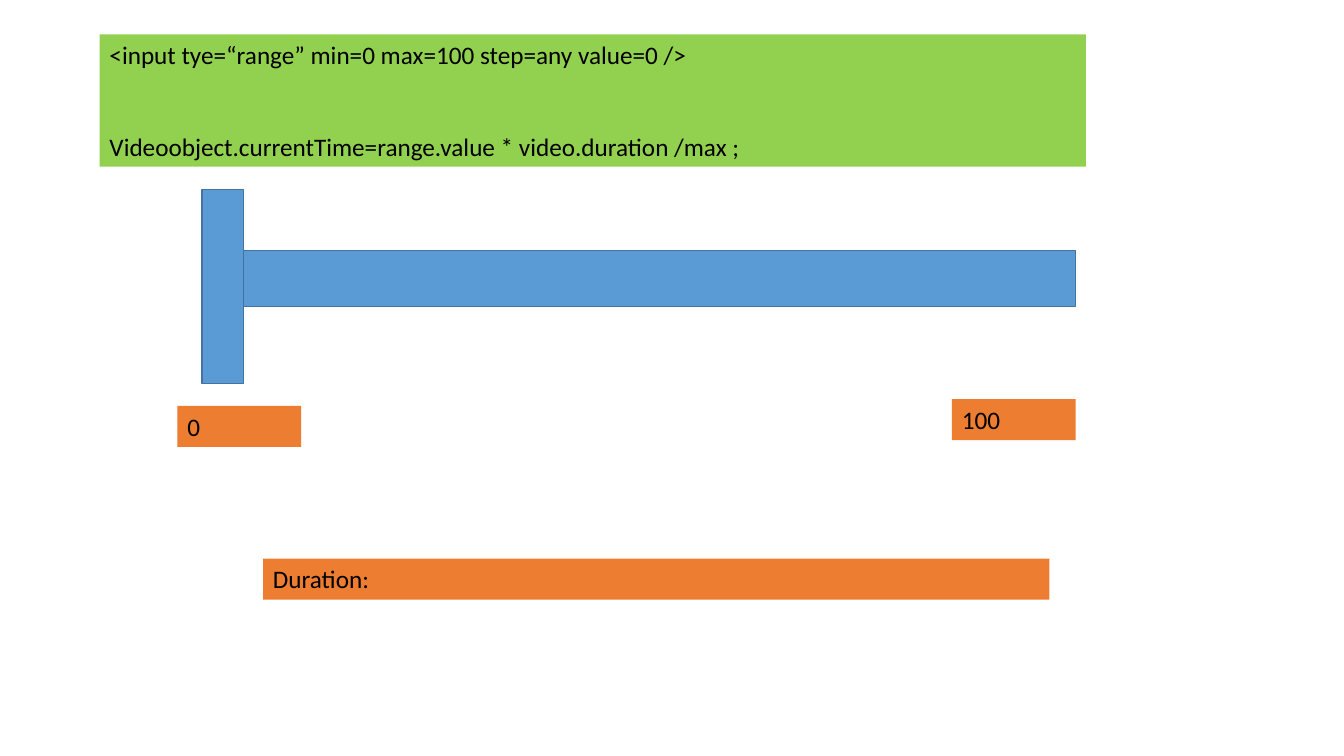
import pptx
import pptx.dml.color
import pptx.enum.shapes
import pptx.enum.text
import pptx.util
from pptx.util import Cm

COLORS = {
    "code": "92D050",
    "slider": "5B9BD5",
    "slider_edge": "43739E",
    "label": "ED7D31",
    "text": "000000",
}


def rgb(name):
    return pptx.dml.color.RGBColor.from_string(COLORS[name])


class SliderSlide:
    """Holds the text style and the slide being drawn."""

    font_name = "Calibri"
    font_size = pptx.util.Pt(18)

    def __init__(self, slide):
        self.slide = slide

    def slider_part(self, left, top, width, height):
        part = self.slide.shapes.add_shape(
            pptx.enum.shapes.MSO_SHAPE.RECTANGLE,
            Cm(left), Cm(top), Cm(width), Cm(height))
        part.shadow.inherit = False
        part.fill.solid()
        part.fill.fore_color.rgb = rgb("slider")
        part.line.color.rgb = rgb("slider_edge")
        part.line.width = pptx.util.Pt(1)

    def text_box(self, lines, color, left, top, width, height=1.03, gap=0):
        """Filled text box; gap is the space in points between lines."""
        box = self.slide.shapes.add_textbox(
            Cm(left), Cm(top), Cm(width), Cm(height))
        box.fill.solid()
        box.fill.fore_color.rgb = rgb(color)
        frame = box.text_frame
        frame.word_wrap = True
        frame.auto_size = pptx.enum.text.MSO_AUTO_SIZE.SHAPE_TO_FIT_TEXT
        for index, line in enumerate(lines):
            paragraph = frame.add_paragraph() if index else frame.paragraphs[0]
            if index:
                paragraph.space_before = pptx.util.Pt(gap)
            run = paragraph.add_run()
            run.text = line
            run.font.name = self.font_name
            run.font.size = self.font_size
            run.font.color.rgb = rgb("text")


def main():
    deck = pptx.Presentation()
    deck.slide_width, deck.slide_height = Cm(33.87), Cm(19.05)
    page = SliderSlide(deck.slides.add_slide(deck.slide_layouts[6]))

    code = [
        "<input tye=“range” min=0 max=100 step=any value=0 />",
        "Videoobject.currentTime=range.value * video.duration /max ;",
    ]
    page.text_box(code, "code", 2.51, 0.87, 24.86, 3.33, gap=44)

    slider_left = 5.09
    page.slider_part(slider_left, 6.31, 22.02, 1.42)  # track
    page.slider_part(slider_left, 4.78, 1.05, 4.89)  # handle

    page.text_box(["0"], "label", 4.47, 10.23, 3.12)
    page.text_box(["100"], "label", 23.99, 10.06, 3.12)
    page.text_box(["Duration:"], "label", 6.63, 14.08, 19.82)

    deck.save("out.pptx")


if __name__ == "__main__":
    main()
